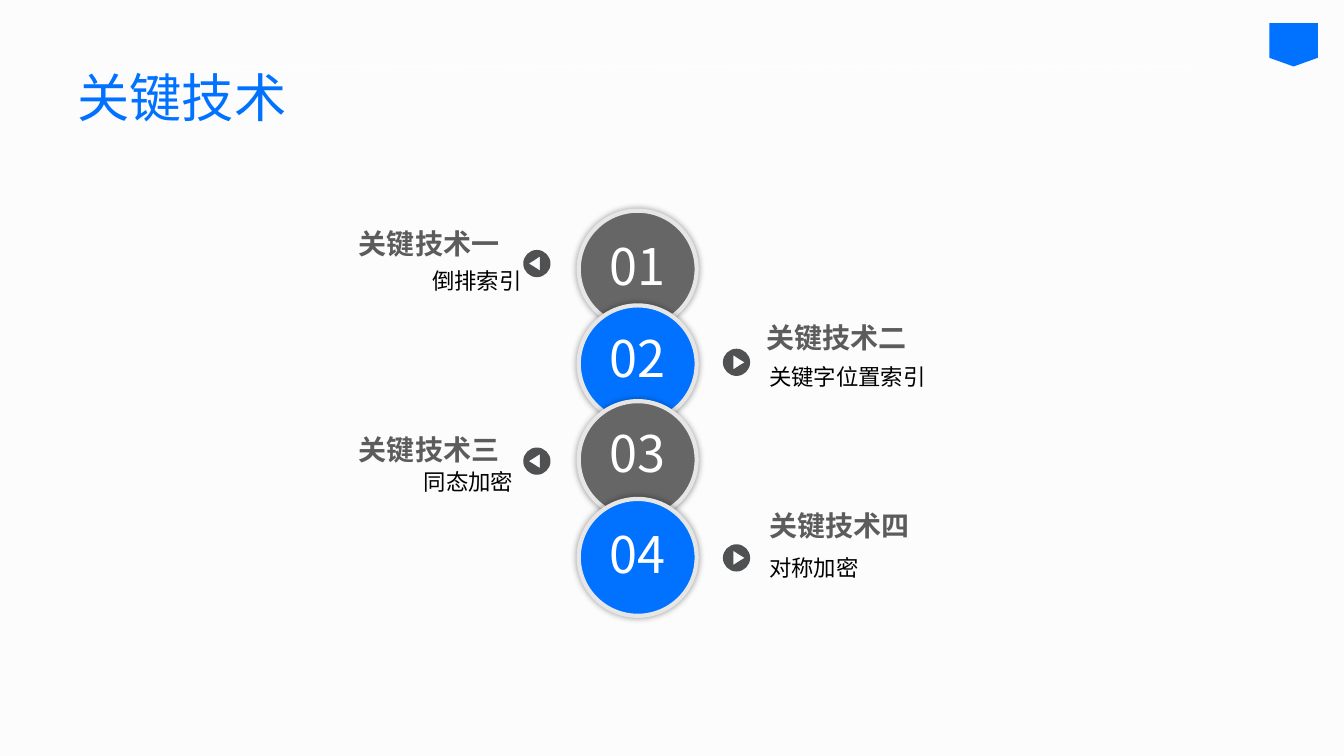
from lxml import etree
from pptx import Presentation
from pptx import util as u
from pptx.dml.color import RGBColor
from pptx.enum import dml, shapes, text
from pptx.oxml import ns

BLUE = RGBColor(0x00, 0x72, 0xFF)
GRAY = RGBColor(0x66, 0x66, 0x66)
RING = RGBColor(0xE7, 0xE6, 0xE6)
MARKER = RGBColor(0x50, 0x51, 0x53)
HEADING = RGBColor(0x5C, 0x5C, 0x5C)
BLACK = RGBColor(0, 0, 0)
WHITE = RGBColor(0xFF, 0xFF, 0xFF)
PAPER = RGBColor(0xFC, 0xFC, 0xFC)
CJK = "Noto Sans CJK SC"
LEFT, RIGHT = text.PP_ALIGN.LEFT, text.PP_ALIGN.RIGHT
CENTER = text.PP_ALIGN.CENTER

TITLE = "关键技术"
STEPS = [
    dict(number="01", heading="关键技术一", detail="倒排索引", side=-1,
         circle_top=2.09, number_top=2.28, marker_top=2.48,
         heading_at=(1.51, 2.2, 3.54), detail_at=(1.18, 2.55, 4.09)),
    dict(number="02", heading="关键技术二", detail="关键字位置索引", side=1,
         circle_top=3.03, number_top=3.2, marker_top=3.46,
         heading_at=(7.5, 3.13, 4.25), detail_at=(7.53, 3.5, 4.05)),
    dict(number="03", heading="关键技术三", detail="同态加密", side=-1,
         circle_top=3.98, number_top=4.14, marker_top=4.44,
         heading_at=(1.51, 4.24, 3.54), detail_at=(1.11, 4.54, 4.08)),
    dict(number="04", heading="关键技术四", detail="对称加密", side=1,
         circle_top=4.95, number_top=5.14, marker_top=5.4,
         heading_at=(7.53, 5, 3.82), detail_at=(7.53, 5.39, 4.05)),
]
MARKER_LEFT = {-1: 5.19, 1: 7.17}
MARKER_SIZE = 0.27
ARC_PULL = 0.55
DISC = [(0, -1), (-1, 0), (0, 1), (1, 0), (0, -1)]
ARROW = [(0.08, 0), (0.03, 0.03), (-0.03, 0.07), (-0.03, 0),
         (-0.03, -0.07), (0.03, -0.03), (0.08, 0)]

deck = Presentation()
deck.slide_width, deck.slide_height = u.Inches(13.33), u.Inches(7.5)
page = deck.slides.add_slide(deck.slide_layouts[6])
page.background.fill.solid()
page.background.fill.fore_color.rgb = PAPER


def add_text(words, at, size, font, color, align, bold=False, spacing=None,
             fit=text.MSO_AUTO_SIZE.SHAPE_TO_FIT_TEXT):
    box = page.shapes.add_textbox(*map(u.Inches, at))
    frame = box.text_frame
    frame.word_wrap = True
    frame.auto_size = fit
    frame.text = words
    para = frame.paragraphs[0]
    para.alignment, para.line_spacing = align, spacing
    span = para.runs[0]
    span.font.size, span.font.bold = u.Pt(size), bold
    span.font.color.rgb = color
    span.font.name = font
    east_asian = etree.SubElement(span.font._element, ns.qn("a:ea"))
    east_asian.set("typeface", CJK)
    return frame


def paint(shape, color):
    shape.shadow.inherit = False
    shape.fill.solid()
    shape.fill.fore_color.rgb = color
    shape.line.fill.background()


def add_filled(kind, at, color):
    shape = page.shapes.add_shape(kind, *map(u.Inches, at))
    paint(shape, color)
    return shape


def add_circle(top, color):
    circle = add_filled(shapes.MSO_SHAPE.OVAL, (5.74, top, 1.17, 1.16), color)
    circle.line.color.rgb = RING
    circle.line.width = u.Pt(3)
    effects = circle._element.spPr.find(ns.qn("a:effectLst"))
    shadow = etree.SubElement(effects, ns.qn("a:outerShdw"),
                              blurRad=str(u.Pt(5)), dist="0", dir="0",
                              algn="ctr", rotWithShape="0")
    shade = etree.SubElement(shadow, ns.qn("a:srgbClr"), val="000000")
    etree.SubElement(shade, ns.qn("a:alpha"), val="40000")


def round_disc(marker):
    radius = marker.width / 2
    path = next(marker._element.iter(ns.qn("a:path")))
    edges = path.findall(ns.qn("a:lnTo"))[:len(DISC) - 1]
    for edge, start, end in zip(edges, DISC, DISC[1:]):
        controls = [tuple(a + ARC_PULL * b for a, b in zip(near, far))
                    for near, far in ((start, end), (end, start))]
        curve = etree.Element(ns.qn("a:cubicBezTo"))
        for x, y in (*controls, end):
            etree.SubElement(curve, ns.qn("a:pt"),
                             x=str(round(radius * (1 + x))),
                             y=str(round(radius * (1 + y))))
        path.replace(edge, curve)


def add_marker(left, top, side):
    radius = MARKER_SIZE / 2
    disc, arrow = (
        [(u.Inches(left + radius + x), u.Inches(top + radius + y))
         for x, y in outline]
        for outline in ([(radius * x, radius * y) for x, y in DISC],
                        [(side * x, y) for x, y in ARROW]))
    builder = page.shapes.build_freeform(*disc[0])
    builder.add_line_segments(disc[1:], close=True)
    builder.move_to(*arrow[0])
    builder.add_line_segments(arrow[1:], close=True)
    marker = builder.convert_to_shape()
    round_disc(marker)
    paint(marker, MARKER)


for index, step in enumerate(STEPS):
    add_circle(step["circle_top"], (GRAY, BLUE)[index % 2])
for step in STEPS:
    add_marker(MARKER_LEFT[step["side"]], step["marker_top"], step["side"])
for step in STEPS:
    add_text(step["number"], (5.81, step["number_top"], 1.02, 0.71),
             36, CJK, WHITE, CENTER)
for step in STEPS:
    add_text(step["detail"], (*step["detail_at"], 0.42), 16, "Arial", BLACK,
             RIGHT if step["side"] < 0 else LEFT, spacing=1.2)
for step in STEPS:
    add_text(step["heading"], (*step["heading_at"], 0.44), 20, CJK, HEADING,
             RIGHT if step["side"] < 0 else LEFT, bold=True)

rule = page.shapes.add_connector(
    shapes.MSO_CONNECTOR.STRAIGHT,
    *map(u.Inches, (1.38, 0.66, 11.84, 0.66)))
rule.line.color.rgb = WHITE
rule.line.width = u.Pt(0.75)
rule.line.dash_style = dml.MSO_LINE.DASH
etree.SubElement(rule._element.spPr, ns.qn("a:effectLst"))

title = add_text(TITLE, (0.67, 0.52, 12, 0.82), 37.3, "Arial", BLUE, LEFT,
                 spacing=1.1, fit=text.MSO_AUTO_SIZE.NONE)
title.vertical_anchor = text.MSO_ANCHOR.MIDDLE
add_filled(shapes.MSO_SHAPE.FLOWCHART_OFFPAGE_CONNECTOR,
           (12.59, 0.23, 0.48, 0.43), BLUE)

deck.save("out.pptx")
